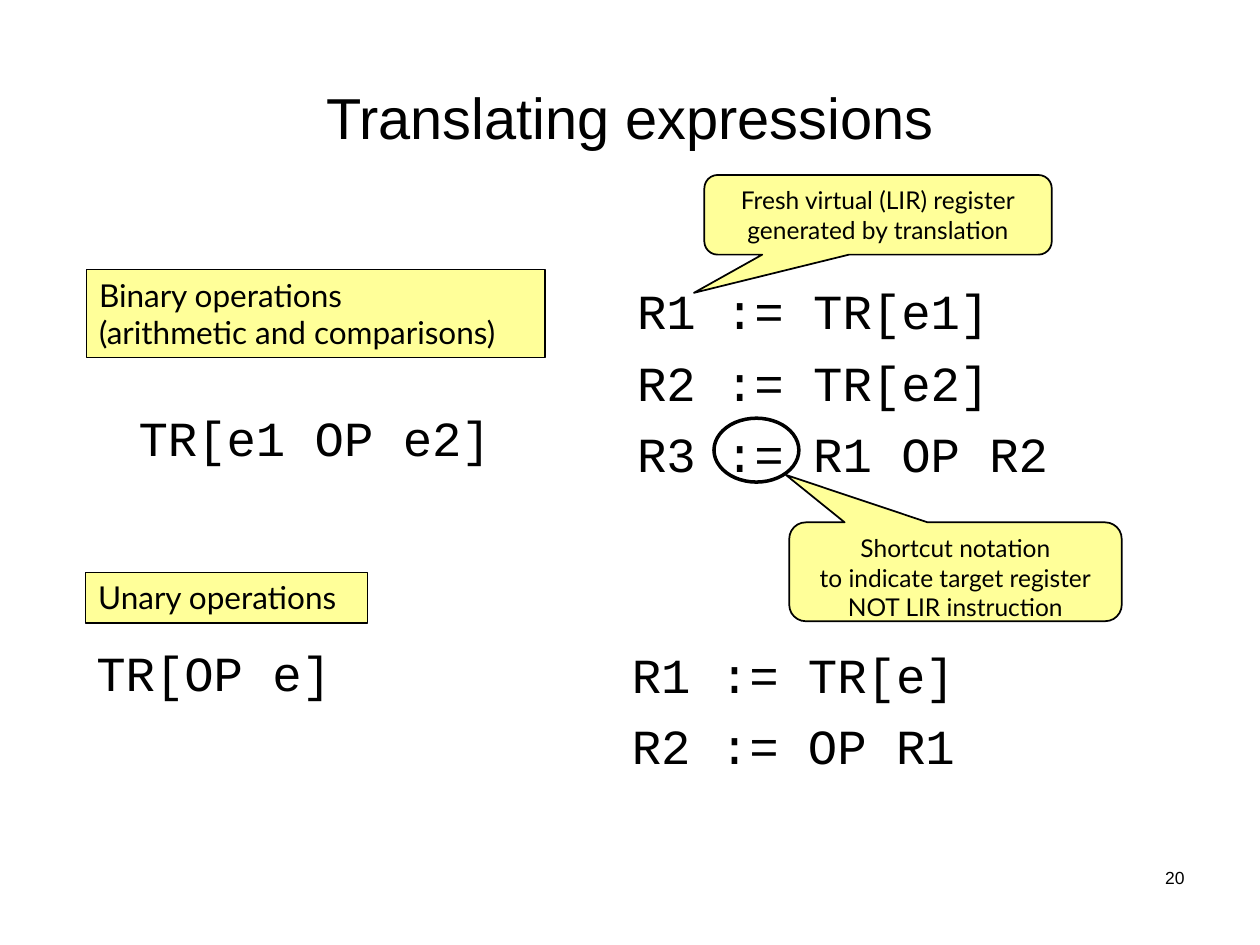
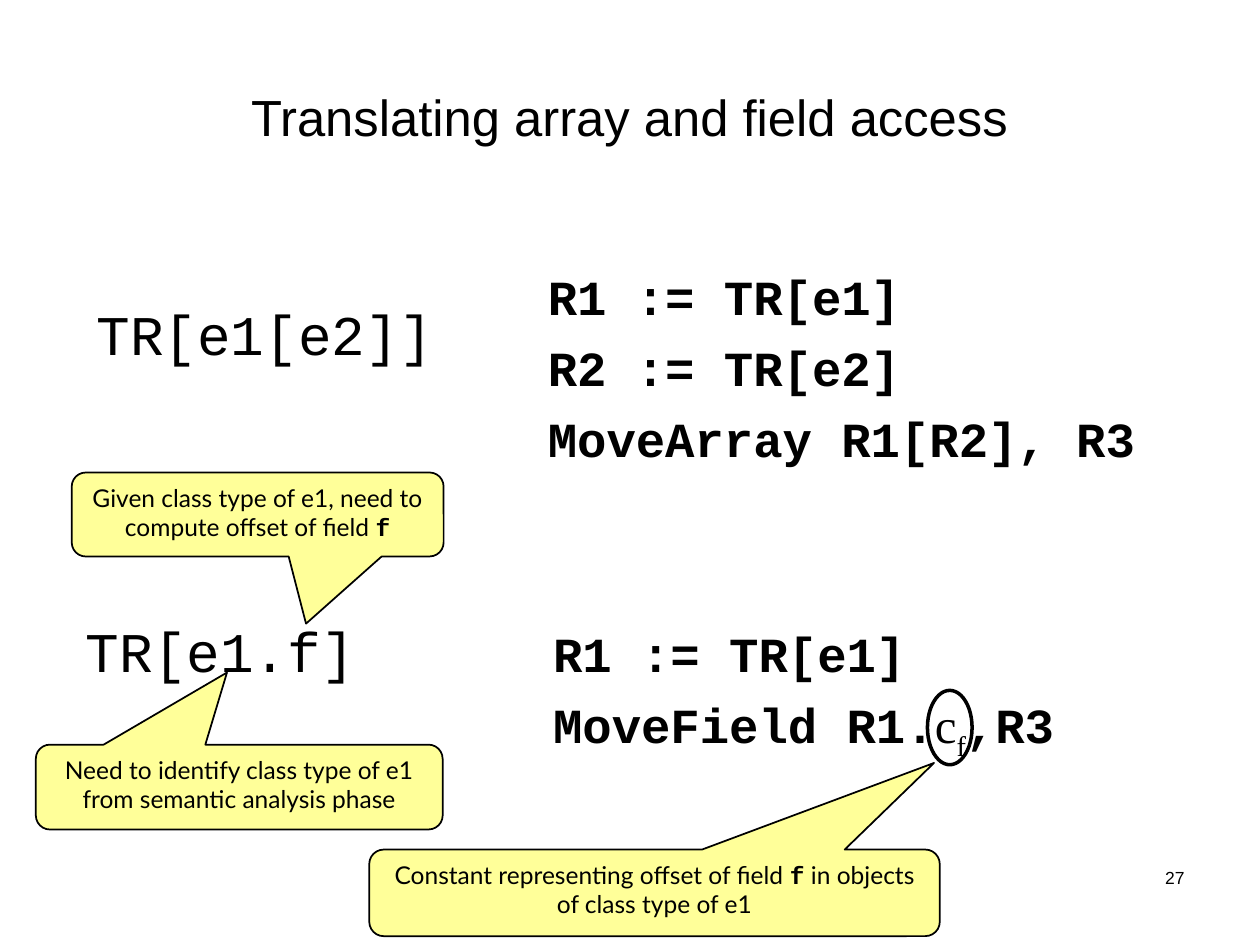
from lxml.etree import SubElement
from pptx import Presentation
from pptx.dml.color import RGBColor
from pptx.enum.shapes import MSO_SHAPE as Preset
from pptx.enum.text import MSO_ANCHOR as Anchor, MSO_AUTO_SIZE as AutoSize, PP_ALIGN as Align
from pptx.oxml.ns import qn
from pptx.util import Pt

colour = RGBColor.from_string
INK, NOTE = "000000", "FFFF99"
SANS, CODE, LABEL, SERIF = "Arial", "Courier New", "Lato", "Times New Roman"
FIELD = [("f", CODE, True, 0)]


def write(frame, paragraphs, font, size, bold=False, align=Align.LEFT,
          before=0, spacing=1.0, hanging=False, anchor=Anchor.TOP):
    frame.word_wrap = True
    frame.auto_size = AutoSize.NONE
    frame.vertical_anchor = anchor
    for index, content in enumerate(paragraphs):
        paragraph = frame.add_paragraph() if index else frame.paragraphs[0]
        paragraph.alignment = align
        paragraph.space_before = Pt(before)
        paragraph.line_spacing = spacing
        if hanging:
            properties = paragraph._p.get_or_add_pPr()
            properties.set("marL", str(Pt(27)))
            properties.set("indent", str(Pt(-27)))
            SubElement(properties, qn("a:buNone"))
        pieces = [(content, font, bold, 0)] if isinstance(content, str) else content
        if isinstance(content, str):
            paragraph.text = content
        else:
            for piece in pieces:
                paragraph.add_run().text = piece[0]
        for position, run in enumerate(paragraph.runs):
            _, face, weight, baseline = pieces[min(position, len(pieces) - 1)]
            run.font.name = face
            run.font.size = Pt(size)
            run.font.bold = weight
            run.font.color.rgb = colour(INK)
            if baseline:
                run.font._element.set("baseline", str(baseline))
        for line_break in paragraph._p.findall(qn("a:br")):
            SubElement(line_break, qn("a:rPr"), sz=str(size * 100))


def draw(slide, preset, place, fill, weight):
    shape = slide.shapes.add_shape(preset, *map(Pt, place))
    shape.shadow.inherit = False
    if fill:
        shape.fill.solid()
        shape.fill.fore_color.rgb = colour(fill)
    else:
        shape.fill.background()
    shape.line.color.rgb = colour(INK)
    shape.line.width = Pt(weight)
    return shape


expressions = {
    "title": ("Translating expressions", 33),
    "number": "20",
    "source": ((72, 229.5, 223, 54), ["TR[e1 OP e2]"], 28, 7, 1.0),
    "code": [
        ((357, 157, 258, 127.5), ["R1 := TR[e1]", "R2 := TR[e2]", "R3 := R1 OP R2"],
         28, 7, 1.0, False),
        ((48, 363.5, 246, 37.5), ["TR[OP e]"], 28, 7, 1.0, False),
        ((354, 365, 286.5, 78), ["R1 := TR[e]", "R2 := OP R1"], 28, 7, 1.0, False),
    ],
    "headings": [
        ((49.5, 154, 262, 50.5), "Binary operations\v(arithmetic and comparisons)"),
        ((49, 327, 161, 29), "Unary operations"),
    ],
    "callouts": [
        ((402.5, 100, 198.5, 45.5), (-0.53, 0.98),
         "Fresh virtual (LIR) register\vgenerated by translation"),
        ((451, 298.5, 190, 56.5), (-0.51, -0.98),
         "Shortcut notation\vto indicate target register\vNOT LIR instruction"),
    ],
    "ring": (408, 239, 48.5, 36.5),
}

access = {
    "title": ("Translating array and field access", 29),
    "number": "27",
    "source": ((48, 175, 248, 41), ["TR[e1[e2]]"], 32, 8, 0.8),
    "code": [
        ((306, 148.5, 380, 133), ["R1 := TR[e1]", "R2 := TR[e2]", "MoveArray R1[R2], R3"],
         28, 7, 1.0, True),
        ((42, 353, 246, 37.5), ["TR[e1.f]"], 32, 8, 0.9, False),
        ((309, 353, 348.5, 121.5),
         ["R1 := TR[e1]",
          [("MoveField R1.", CODE, True, 0), ("c", SERIF, False, 0),
           ("f", SERIF, False, -25000), (",R3", CODE, True, 0)]],
         28, 7, 1.0, True),
    ],
    "headings": [],
    "callouts": [
        ((211, 485.5, 326, 49.5), (0.49, -1.5),
         [("Constant representing offset of field ", LABEL, False, 0)] + FIELD
         + [(" in objects of class type of e1", LABEL, False, 0)]),
        ((41, 270, 212.5, 48), (0.13, 1.3),
         [("Given class type of e1, need to compute offset of field ", LABEL, False, 0)] + FIELD),
        ((20.5, 425.5, 232.5, 48.5), (-0.03, -1.35),
         "Need to identify class type of e1 from semantic analysis phase"),
    ],
    "ring": (530, 394.5, 25.5, 42.5),
}

deck = Presentation()
deck.slide_width, deck.slide_height = Pt(720), Pt(540)

for topic in (expressions, access):
    slide = deck.slides.add_slide(deck.slide_layouts[1])

    heading, heading_size = topic["title"]
    title = slide.shapes.title
    title.left, title.top, title.width, title.height = map(Pt, (36, 21.5, 648, 90))
    write(title.text_frame, [heading], SANS, heading_size,
          align=Align.CENTER, anchor=Anchor.MIDDLE)

    place, lines, size, before, spacing = topic["source"]
    source = slide.placeholders[1]
    source.left, source.top, source.width, source.height = map(Pt, place)
    write(source.text_frame, lines, CODE, size, before=before, spacing=spacing, hanging=True)

    number = slide.shapes.add_textbox(*map(Pt, (516, 492, 168, 36)))
    write(number.text_frame, [topic["number"]], SANS, 10, align=Align.RIGHT)

    for place, lines, size, before, spacing, bold in topic["code"]:
        code = slide.shapes.add_textbox(*map(Pt, place))
        write(code.text_frame, lines, CODE, size, bold, before=before,
              spacing=spacing, hanging=True)

    for place, text in topic["headings"]:
        operation = draw(slide, Preset.RECTANGLE, place, NOTE, 0.75)
        write(operation.text_frame, [text], LABEL, 18)

    draw(slide, Preset.OVAL, topic["ring"], None, 2)

    for place, tip, text in topic["callouts"]:
        callout = draw(slide, Preset.ROUNDED_RECTANGULAR_CALLOUT, place, NOTE, 1)
        callout.adjustments[0], callout.adjustments[1] = tip
        write(callout.text_frame, [text], LABEL, 14, align=Align.CENTER, before=8.8)

deck.save("out.pptx")
